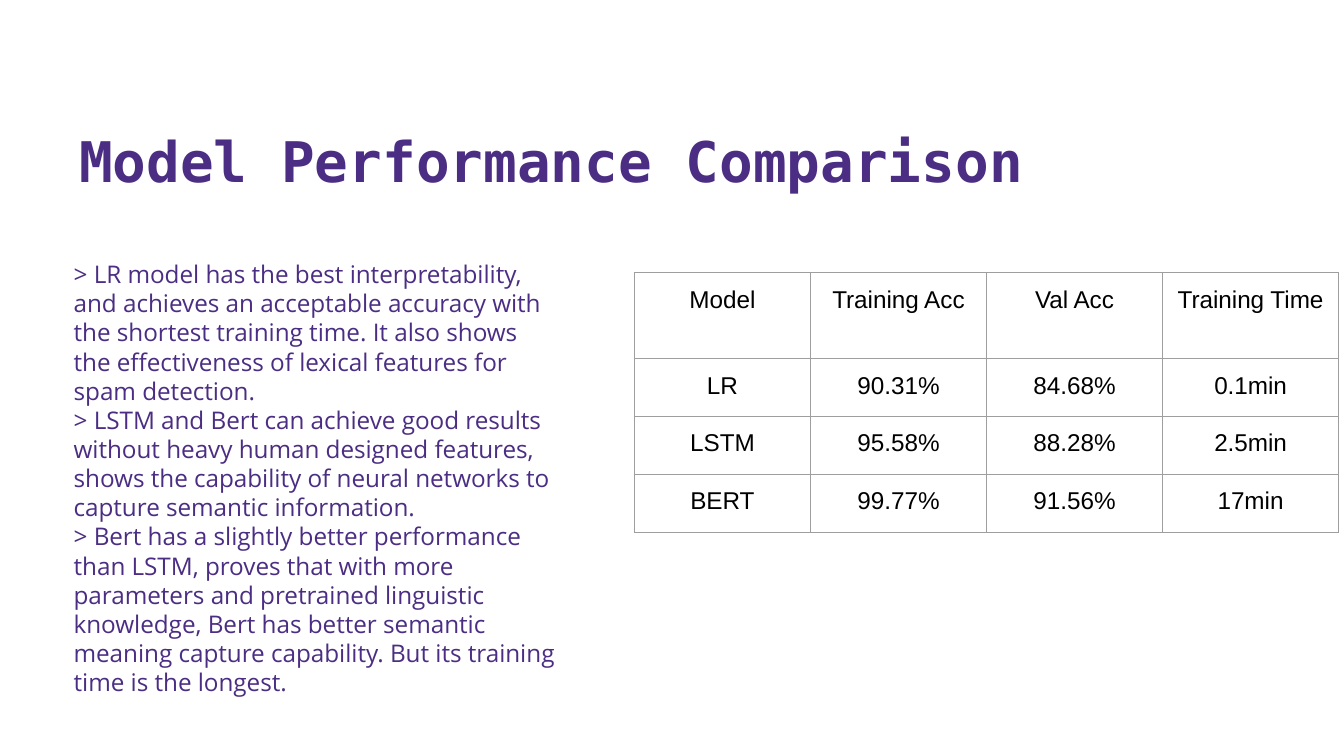
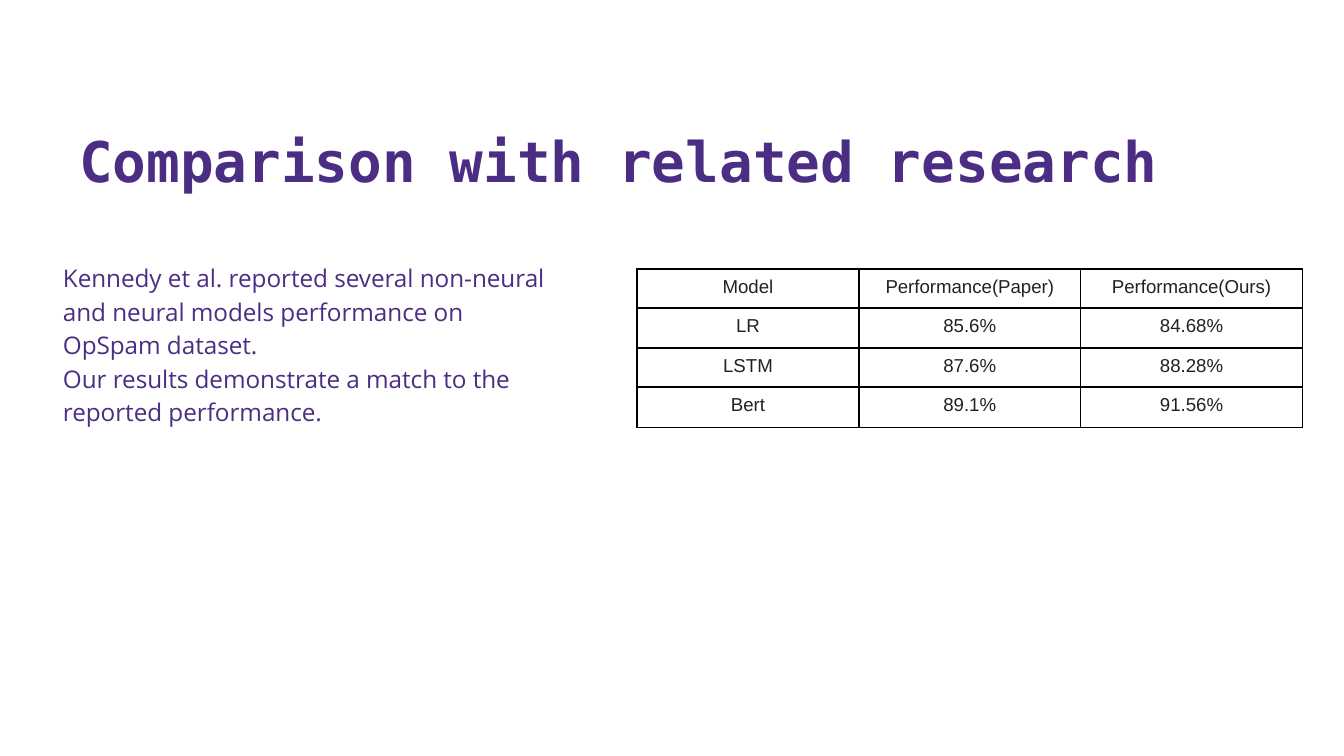
from lxml import etree
from pptx import Presentation
from pptx.dml.color import RGBColor
from pptx.enum.text import MSO_ANCHOR, PP_ALIGN
from pptx.oxml.ns import qn
from pptx.util import Inches, Pt

BOTTOM, TOP = MSO_ANCHOR.BOTTOM, MSO_ANCHOR.TOP
CENTER = PP_ALIGN.CENTER
COLORS = {"purple": "4B2E83", "black": "000000", "ink": "222222", "gray": "9E9E9E"}
MONO, SANS, ARIAL = "DejaVu Sans Mono", "Open Sans", "Arial"

SLIDES = [
    {
        "title": "Model Performance Comparison",
        "notes": [
            "> LR model has the best interpretability, and achieves an acceptable accuracy "
            "with the shortest training time. It also shows the effectiveness of lexical "
            "features for spam detection.",
            "> LSTM and Bert can achieve good results without heavy human designed features, "
            "shows the capability of neural networks to capture semantic information.",
            "> Bert has a slightly better performance than LSTM, proves that with more "
            "parameters and pretrained linguistic knowledge, Bert has better semantic "
            "meaning capture capability. But its training time is the longest.",
        ],
        "indent": 0.08, "spacing": 1.0,
        "rows": [
            ["Model", "Training Acc", "Val Acc", "Training Time"],
            ["LR", "90.31%", "84.68%", "0.1min"],
            ["LSTM", "95.58%", "88.28%", "2.5min"],
            ["BERT", "99.77%", "91.56%", "17min"],
        ],
        "left": 4.72, "top": 2.03, "width": 1.31, "heights": [0.64] + [0.43] * 3,
        "side": 0.1, "pad": 0.1, "size": 13,
        "color": "black", "border": "gray", "line": 0.75,
    },
    {
        "title": "Comparison with related research",
        "notes": [
            "Kennedy et al. reported several non-neural and neural models performance "
            "on OpSpam dataset.",
            "Our results demonstrate a match to the reported performance.",
        ],
        "indent": 0, "spacing": 1.15,
        "rows": [
            ["Model", "Performance(Paper)", "Performance(Ours)"],
            ["LR", "85.6%", "84.68%"],
            ["LSTM", "87.6%", "88.28%"],
            ["Bert", "89.1%", "91.56%"],
        ],
        "left": 4.74, "top": 2, "width": 1.65, "heights": [0.29, 0.3] * 2,
        "side": 0.07, "pad": 0.06, "size": 10,
        "color": "ink", "border": "black", "line": 1,
    },
]


def style(para, face, size, color, bold=False):
    para.font.name, para.font.size, para.font.bold = face, Pt(size), bold
    para.font.color.rgb = RGBColor.from_string(COLORS[color])


def add_box(slide, place, anchor, lines):
    """Add a wrapping text box and return its paragraphs, one for each line."""
    frame = slide.shapes.add_textbox(*map(Inches, place)).text_frame
    frame.word_wrap = True
    frame.vertical_anchor = anchor
    frame.text = "\n".join(lines)
    return frame.paragraphs


deck = Presentation()
deck.slide_width, deck.slide_height = Inches(10), Inches(10 * 9 / 16)
blank = deck.slide_layouts[6]

for data in SLIDES:
    slide = deck.slides.add_slide(blank)
    for para in add_box(slide, (0.49, 0.4, 8.96, 1.09), BOTTOM, [data["title"]]):
        style(para, MONO, 30, "purple", True)
    for para in add_box(slide, (0.37, 1.88, 3.86, 3.38), TOP, data["notes"]):
        style(para, SANS, 13, "purple")
        para.line_spacing = data["spacing"]
        props = para._p.get_or_add_pPr()
        props.set("marL", str(Inches(data["indent"])))
        props.set("indent", "0")

    rows, heights = data["rows"], data["heights"]
    cols = len(rows[0])
    table = slide.shapes.add_table(
        len(rows), cols, Inches(data["left"]), Inches(data["top"]),
        Inches(data["width"] * cols), Inches(sum(heights))).table
    table.first_row = table.horz_banding = False
    for col in table.columns:
        col.width = Inches(data["width"])
    for r, row in enumerate(rows):
        table.rows[r].height = Inches(heights[r])
        for c, text in enumerate(row):
            cell = table.cell(r, c)
            cell.text = text
            cell.margin_left = cell.margin_right = Inches(data["side"])
            cell.margin_top = cell.margin_bottom = Inches(data["pad"])
            para = cell.text_frame.paragraphs[0]
            para.alignment = CENTER
            style(para, ARIAL, data["size"], data["color"])
            props = cell._tc.get_or_add_tcPr()
            for edge in ("a:lnL", "a:lnR", "a:lnT", "a:lnB"):
                line = etree.SubElement(props, qn(edge), w=str(Pt(data["line"])))
                fill = etree.SubElement(line, qn("a:solidFill"))
                etree.SubElement(fill, qn("a:srgbClr"), val=COLORS[data["border"]])
            cell.fill.background()

deck.save("out.pptx")
